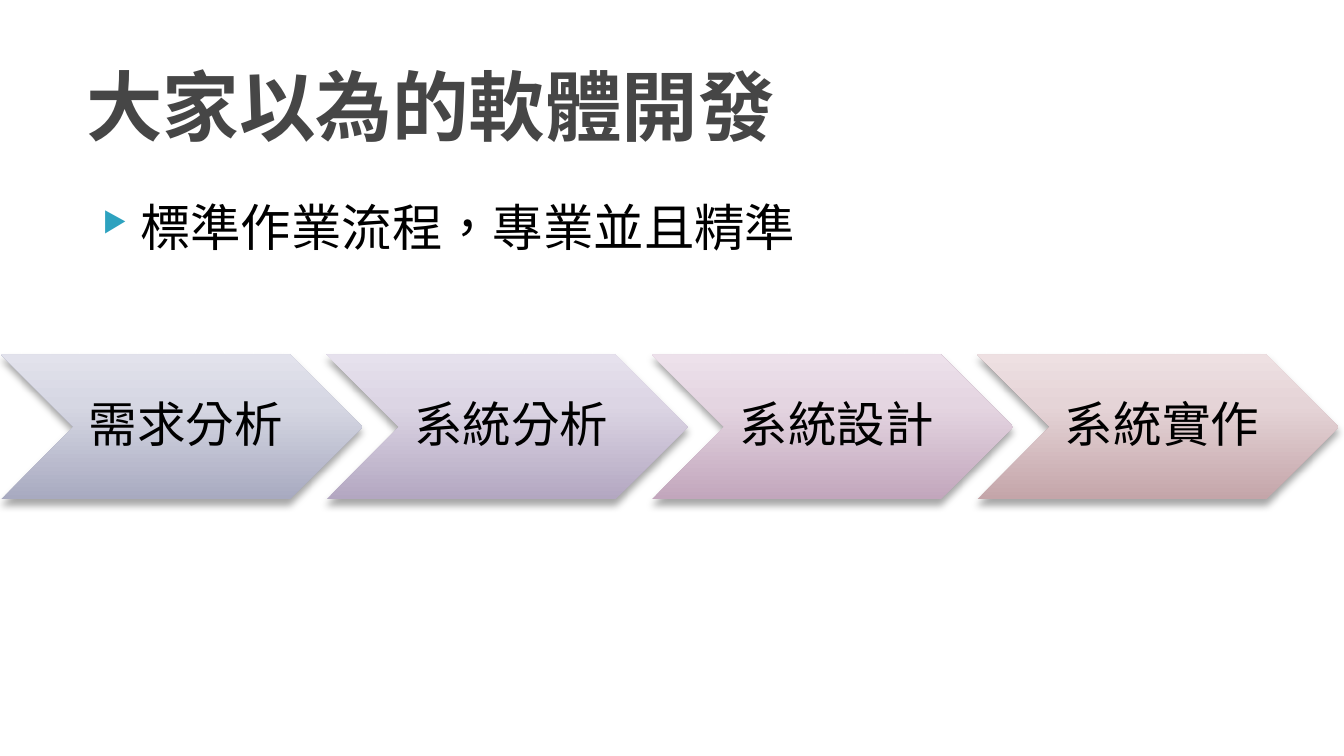
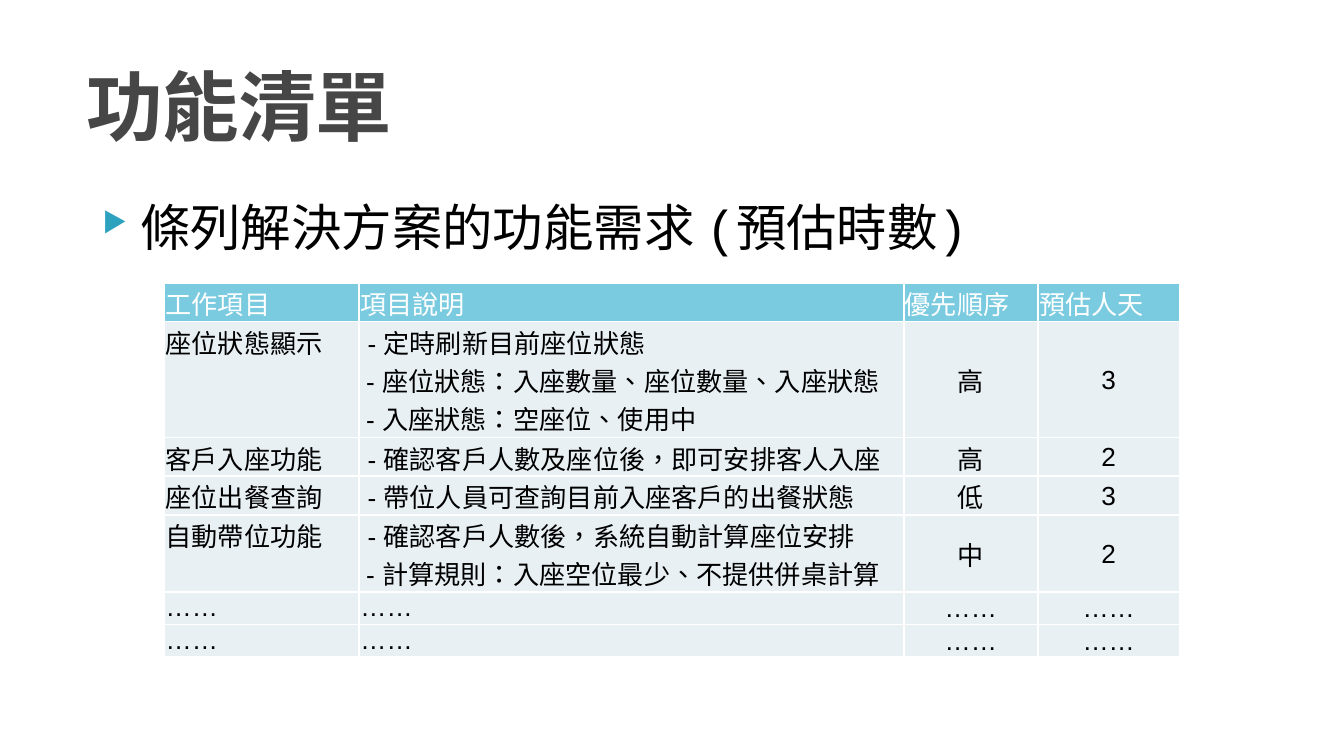
from copy import deepcopy
from dataclasses import dataclass

from lxml import etree
from pptx import Presentation
from pptx import util as u
from pptx.dml.color import RGBColor
from pptx.enum import shapes, text
from pptx.oxml import ns

HEADING_FONT = "Courier New"
TABLE_FONT = "Arial"
LANGUAGE = "zh-TW"
BLACK = RGBColor(0x00, 0x00, 0x00)
WHITE = RGBColor(0xFF, 0xFF, 0xFF)
TITLE_GREY = RGBColor(0x46, 0x46, 0x46)
BULLET_BLUE = RGBColor(0x2D, 0xA2, 0xBF)
HEADER_BLUE = RGBColor(0x7A, 0xCB, 0xE0)
ROW_BLUE = RGBColor(0xE8, 0xF0, 0xF4)

TEXT_LEFT = u.Cm(1.38)
STEP_LEFT, STEP_TOP = u.Cm(0.02), u.Cm(6.7)
STEP_WIDTH, STEP_HEIGHT = u.Cm(6.83), u.Cm(2.74)
STEP_PITCH = u.Cm(6.15)
LABEL_OFFSET, LABEL_WIDTH = u.Cm(1.36), u.Cm(4.09)
GRADIENT_POSITIONS = (0, 0.65, 1)

TABLE_LEFT, TABLE_TOP = u.Cm(3.11), u.Cm(5.35)
COLUMN_WIDTHS = (u.Cm(3.68), u.Cm(10.29), u.Cm(2.54), u.Cm(2.67))
LINE_HEIGHT, ELLIPSIS_HEIGHT = u.Cm(0.73), u.Cm(0.6)


@dataclass(frozen=True)
class Step:
    label: str
    dark: RGBColor
    middle: RGBColor
    light: RGBColor


@dataclass(frozen=True)
class Feature:
    name: str
    details: tuple[str, ...]
    priority: str
    days: str

    def cells(self) -> tuple[str, ...]:
        return self.name, "\v".join(self.details), self.priority, self.days

    def height(self) -> int:
        return ELLIPSIS_HEIGHT if self.name == "……" else len(self.details) * LINE_HEIGHT


STEPS = (
    Step("需求分析", RGBColor(0xA8, 0xAA, 0xC0), RGBColor(0xD6, 0xD7, 0xE3), RGBColor(0xE2, 0xE2, 0xEC)),
    Step("系統分析", RGBColor(0xB3, 0xA7, 0xC1), RGBColor(0xDC, 0xD5, 0xE4), RGBColor(0xE6, 0xE1, 0xED)),
    Step("系統設計", RGBColor(0xC2, 0xA6, 0xBC), RGBColor(0xE4, 0xD5, 0xE1), RGBColor(0xED, 0xE1, 0xEB)),
    Step("系統實作", RGBColor(0xC4, 0xA5, 0xA9), RGBColor(0xE5, 0xD4, 0xD7), RGBColor(0xEE, 0xE0, 0xE2)),
)

ELLIPSIS = Feature("……", ("……",), "……", "……")
FEATURES = (
    Feature("工作項目", ("項目說明",), "優先順序", "預估人天"),
    Feature(
        "座位狀態顯示",
        (" - 定時刷新目前座位狀態", " - 座位狀態：入座數量、座位數量、入座狀態", " - 入座狀態：空座位、使用中"),
        "高",
        "3",
    ),
    Feature("客戶入座功能", (" - 確認客戶人數及座位後，即可安排客人入座",), "高", "2"),
    Feature("座位出餐查詢", (" - 帶位人員可查詢目前入座客戶的出餐狀態",), "低", "3"),
    Feature(
        "自動帶位功能",
        (" - 確認客戶人數後，系統自動計算座位安排", " - 計算規則：入座空位最少、不提供併桌計算"),
        "中",
        "2",
    ),
    ELLIPSIS,
    ELLIPSIS,
)


def add_element(parent, tag: str, **attributes: str):
    element = etree.SubElement(parent, ns.qn(tag))
    for name, value in attributes.items():
        element.set(name, value)
    return element


def style_run(run, name: str, size: float, color: RGBColor, bold: bool = False) -> None:
    font = run.font
    font.name, font.size, font.bold = name, u.Pt(size), bold
    font.color.rgb = color
    run._r.get_or_add_rPr().set("lang", LANGUAGE)


def add_text(parent, words: str, left: int, top: int, width: int, height: int):
    """Add a wrapping text box to a shape collection and return its text frame."""
    frame = parent.add_textbox(left, top, width, height).text_frame
    frame.word_wrap = True
    frame.text = words
    return frame


def add_bullet(paragraph) -> None:
    properties = paragraph._p.get_or_add_pPr()
    properties.set("marL", str(u.Cm(1.02)))
    properties.set("indent", str(-u.Cm(0.71)))
    color = add_element(properties, "a:buClr")
    add_element(color, "a:srgbClr", val=str(BULLET_BLUE))
    add_element(properties, "a:buSzPct", val="55000")
    add_element(properties, "a:buChar", char="▶")


def add_titled_slide(presentation, title: str, statement: str):
    slide = presentation.slides.add_slide(presentation.slide_layouts[6])
    body = add_text(slide.shapes, statement, TEXT_LEFT, u.Cm(3.58), u.Cm(22.86), u.Cm(7.82))
    add_bullet(body.paragraphs[0])
    style_run(body.paragraphs[0].runs[0], HEADING_FONT, 27, BLACK)

    heading = add_text(slide.shapes, title, TEXT_LEFT, u.Cm(0.79), u.Cm(21.64), u.Cm(2.39))
    heading.vertical_anchor = text.MSO_ANCHOR.MIDDLE
    style_run(heading.paragraphs[0].runs[0], HEADING_FONT, 41, TITLE_GREY, bold=True)
    return slide


def fill_gradient(shape, colors: tuple[RGBColor, ...]) -> None:
    """Blend the colours upwards, the first one at the bottom."""
    shape.fill.gradient()
    shape.fill.gradient_angle = 90
    stop_list = shape._element.spPr.find(".//" + ns.qn("a:gsLst"))
    stop_list.append(deepcopy(stop_list[-1]))
    for stop, position, color in zip(shape.fill.gradient_stops, GRADIENT_POSITIONS, colors):
        stop.position = position
        stop.color.rgb = color


def add_shadow(shape) -> None:
    shape.shadow.inherit = False
    effects = shape._element.spPr.find(ns.qn("a:effectLst"))
    shadow = add_element(
        effects, "a:outerShdw", blurRad=str(u.Pt(4)), dist=str(u.Pt(3)), dir="5400000", rotWithShape="0"
    )
    color = add_element(shadow, "a:srgbClr", val=str(BLACK))
    add_element(color, "a:alpha", val="35000")


def add_step(parent, step: Step, left: int) -> None:
    chevron = parent.add_shape(shapes.MSO_SHAPE.CHEVRON, left, STEP_TOP, STEP_WIDTH, STEP_HEIGHT)
    fill_gradient(chevron, (step.dark, step.middle, step.light))
    chevron.line.fill.background()
    add_shadow(chevron)

    label = add_text(parent, step.label, left + LABEL_OFFSET, STEP_TOP, LABEL_WIDTH, STEP_HEIGHT)
    label.vertical_anchor = text.MSO_ANCHOR.MIDDLE
    label.margin_left = u.Cm(0.28)
    label.margin_right = label.margin_top = label.margin_bottom = u.Cm(0.1)
    paragraph = label.paragraphs[0]
    paragraph.alignment = text.PP_ALIGN.CENTER
    paragraph.line_spacing = 0.9
    style_run(paragraph.runs[0], HEADING_FONT, 26, BLACK)


def add_borders(cell) -> None:
    properties = cell._tc.get_or_add_tcPr()
    for side in ("a:lnL", "a:lnR", "a:lnT", "a:lnB"):
        line = add_element(properties, side, w=str(u.Pt(1)))
        fill = add_element(line, "a:solidFill")
        add_element(fill, "a:srgbClr", val=str(WHITE))


def fill_cell(cell, words: str, is_header: bool, is_centered: bool) -> None:
    cell.margin_left = cell.margin_right = cell.margin_top = u.Cm(0.02)
    cell.margin_bottom = 0
    add_borders(cell)
    cell.fill.solid()
    cell.fill.fore_color.rgb = HEADER_BLUE if is_header else ROW_BLUE
    paragraph = cell.text_frame.paragraphs[0]
    paragraph.text = words
    if is_centered:
        cell.vertical_anchor = text.MSO_ANCHOR.MIDDLE
        paragraph.alignment = text.PP_ALIGN.CENTER
    for run in paragraph.runs:
        style_run(run, TABLE_FONT, 14, WHITE if is_header else BLACK)


def add_feature_table(slide) -> None:
    height = sum(feature.height() for feature in FEATURES)
    table = slide.shapes.add_table(
        len(FEATURES), len(COLUMN_WIDTHS), TABLE_LEFT, TABLE_TOP, sum(COLUMN_WIDTHS), height
    ).table
    table.horz_banding = False
    table.first_row = False
    for column, width in zip(table.columns, COLUMN_WIDTHS):
        column.width = width
    for row_index, feature in enumerate(FEATURES):
        table.rows[row_index].height = feature.height()
        is_header = row_index == 0
        for column_index, words in enumerate(feature.cells()):
            is_centered = not is_header and column_index >= 2
            fill_cell(table.cell(row_index, column_index), words, is_header, is_centered)


def build_process_slide(presentation) -> None:
    slide = add_titled_slide(presentation, "大家以為的軟體開發", "標準作業流程，專業並且精準")
    process = slide.shapes.add_group_shape().shapes
    for index, step in enumerate(STEPS):
        add_step(process, step, STEP_LEFT + index * STEP_PITCH)


def build_feature_slide(presentation) -> None:
    slide = add_titled_slide(presentation, "功能清單", "條列解決方案的功能需求 (預估時數)")
    add_feature_table(slide)


def main() -> None:
    presentation = Presentation()
    presentation.slide_width = u.Cm(25.4)
    presentation.slide_height = u.Cm(14.29)
    build_process_slide(presentation)
    build_feature_slide(presentation)
    presentation.save("out.pptx")


if __name__ == "__main__":
    main()
